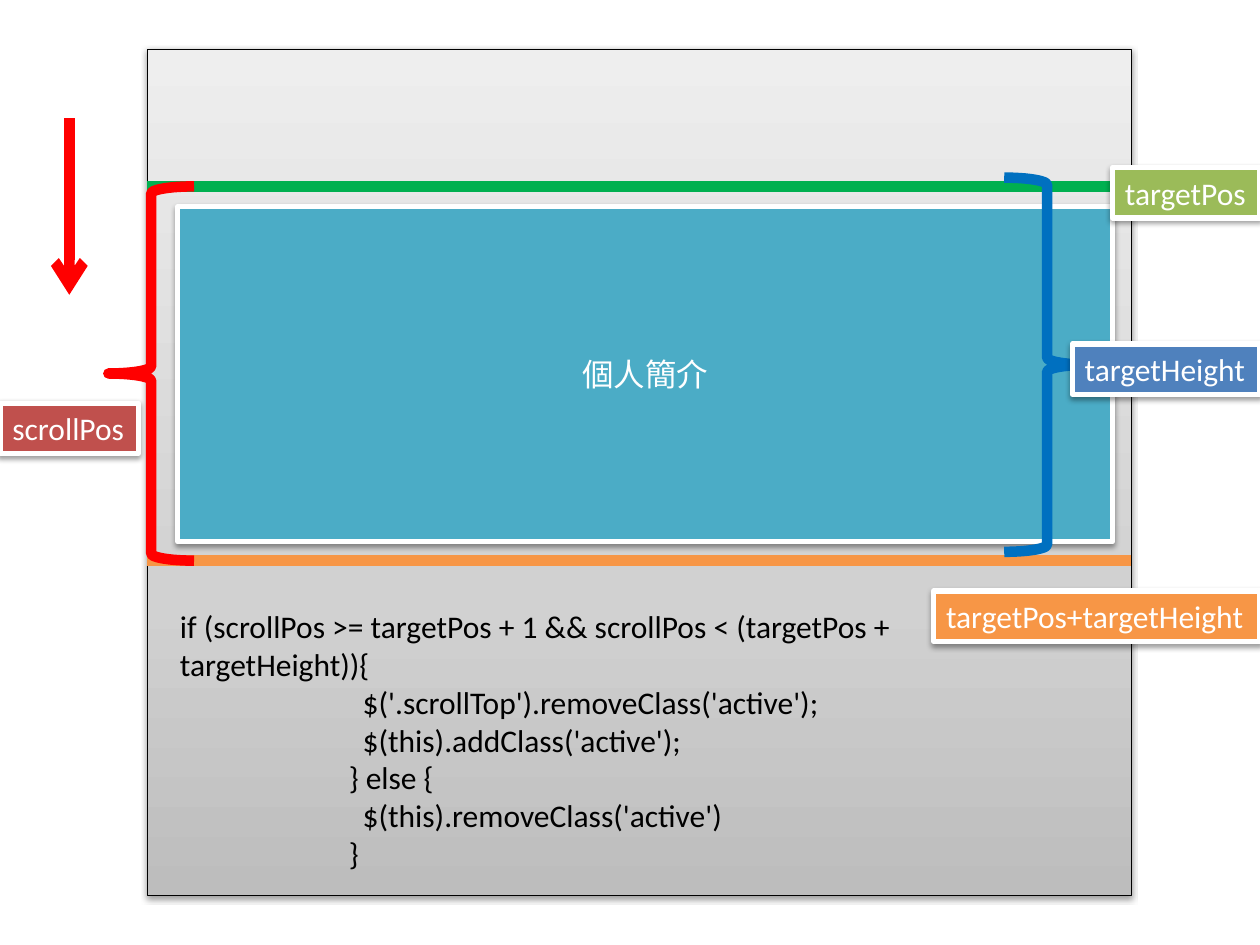
import copy
from dataclasses import dataclass

import pptx
import pptx.dml.color
import pptx.enum.shapes
import pptx.enum.text
import pptx.oxml
import pptx.oxml.ns
import pptx.util
from pptx.util import Inches

SHAPE = pptx.enum.shapes.MSO_SHAPE
qn = pptx.oxml.ns.qn


@dataclass(frozen=True)
class Theme:
    font: str = "Calibri"
    text_size: int = 18
    mark_width: int = 6
    border_width: int = 3
    frame_width: float = 0.75
    black: str = "000000"
    white: str = "FFFFFF"
    section: str = "4BACC6"
    start: str = "00B050"
    end: str = "F79646"
    scroll: str = "FF0000"
    height: str = "0070C0"
    pos_label: str = "9BBB59"
    height_label: str = "4F81BD"
    scroll_label: str = "C0504D"
    page_gradient: tuple = ((0, "BDBDBD"), (0.35, "D1D1D1"), (1, "EEEEEE"))


THEME = Theme()
SHADOW = (
    '<a:outerShdw xmlns:a="http://schemas.openxmlformats.org/drawingml/2006/main"'
    ' blurRad="40000" dist="20000" dir="5400000" rotWithShape="0">'
    '<a:srgbClr val="000000"><a:alpha val="38000"/></a:srgbClr></a:outerShdw>'
)


def rgb(color):
    return pptx.dml.color.RGBColor.from_string(color)


def inches(box):
    return [Inches(length) for length in box]


def set_line(shape, color, width):
    shape.line.color.rgb = rgb(color)
    shape.line.width = pptx.util.Pt(width)


def set_fill(shape, color):
    shape.fill.solid()
    shape.fill.fore_color.rgb = rgb(color)


def add_shadow(shape):
    shape.shadow.inherit = False
    effects = shape._element.spPr.find(qn("a:effectLst"))
    effects.append(pptx.oxml.parse_xml(SHADOW))


def format_text(frame, color):
    for paragraph in frame.paragraphs:
        for run in paragraph.runs:
            run.font.name = THEME.font
            run.font.size = pptx.util.Pt(THEME.text_size)
            run.font.color.rgb = rgb(color)


def add_page(slide, box):
    page = slide.shapes.add_shape(SHAPE.RECTANGLE, *inches(box))
    page.fill.gradient()
    page.fill.gradient_angle = 90
    stop_list = page._element.spPr.find(".//" + qn("a:gsLst"))
    stop_list.insert(1, copy.deepcopy(stop_list[0]))
    for stop, (position, color) in zip(page.fill.gradient_stops, THEME.page_gradient):
        stop.position = position
        stop.color.rgb = rgb(color)
    set_line(page, THEME.black, THEME.frame_width)
    add_shadow(page)


def add_section(slide, box, title):
    section = slide.shapes.add_shape(SHAPE.RECTANGLE, *inches(box))
    set_fill(section, THEME.section)
    set_line(section, THEME.white, THEME.border_width)
    add_shadow(section)
    section.text_frame.text = title
    section.text_frame.paragraphs[0].alignment = pptx.enum.text.PP_ALIGN.CENTER
    format_text(section.text_frame, THEME.white)


def add_mark(slide, ends, color, arrow=False):
    mark = slide.shapes.add_connector(
        pptx.enum.shapes.MSO_CONNECTOR.STRAIGHT, *inches(ends))
    set_line(mark, color, THEME.mark_width)
    properties = mark._element.spPr
    if arrow:
        tail = pptx.oxml.xmlchemy.OxmlElement("a:tailEnd")
        tail.set("type", "arrow")
        properties.find(qn("a:ln")).append(tail)
    properties.append(pptx.oxml.xmlchemy.OxmlElement("a:effectLst"))


def add_brace(slide, kind, box, color):
    brace = slide.shapes.add_shape(kind, *inches(box))
    brace.fill.background()
    set_line(brace, color, THEME.mark_width)
    brace.shadow.inherit = False


def add_label(slide, box, name, color):
    label = slide.shapes.add_textbox(*inches(box))
    set_fill(label, color)
    set_line(label, THEME.white, THEME.border_width)
    add_shadow(label)
    label.text_frame.text = name
    label.text_frame.word_wrap = False
    label.text_frame.auto_size = pptx.enum.text.MSO_AUTO_SIZE.SHAPE_TO_FIT_TEXT
    format_text(label.text_frame, THEME.white)


def add_code(slide, box, lines):
    frame = slide.shapes.add_textbox(*inches(box)).text_frame
    frame.word_wrap = True
    frame.auto_size = pptx.enum.text.MSO_AUTO_SIZE.SHAPE_TO_FIT_TEXT
    frame.text = "\n".join(text for _, text in lines)
    for paragraph, (indent, _) in zip(frame.paragraphs, lines):
        properties = paragraph._p.get_or_add_pPr()
        properties.set("marL", str(Inches(indent)))
        properties.set("indent", "0")
    format_text(frame, THEME.black)


def build_scroll_slide(slide):
    page_left, page_right = 1.17, 8.98
    start, end = 1.48, 4.45

    # Page with the target section
    add_page(slide, (page_left, 0.39, page_right - page_left, 6.72))
    add_section(slide, (1.41, 1.64, 7.42, 2.66), "個人簡介")

    # Section limits and scroll direction
    for level, color in ((start, THEME.start), (end, THEME.end)):
        add_mark(slide, (page_left, level, page_right, level), color)
    add_mark(slide, (0.55, 0.94, 0.55, 2.34), THEME.scroll, arrow=True)

    # Measures on the right, with labels that end at the slide edge
    add_label(slide, (8.83, 1.33, 1.17, 0.4), "targetPos", THEME.pos_label)
    add_brace(slide, SHAPE.RIGHT_BRACE, (7.97, 1.41, 0.68, end - start), THEME.height)
    add_label(slide, (8.51, 2.73, 1.49, 0.4), "targetHeight", THEME.height_label)
    add_label(slide, (7.41, 4.69, 2.59, 0.4), "targetPos+targetHeight", THEME.end)

    # Condition code
    branch, body = 1.34, 1.45
    add_code(slide, (1.33, 4.77, 6.88, 2.22), (
        (0, "if (scrollPos >= targetPos + 1 && scrollPos < (targetPos + targetHeight)){"),
        (body, "$('.scrollTop').removeClass('active');"),
        (body, "$(this).addClass('active');"),
        (branch, "} else {"),
        (body, "$(this).removeClass('active')"),
        (branch, "}"),
    ))

    # Scroll range on the left
    add_brace(slide, SHAPE.LEFT_BRACE, (0.86, start, 0.68, end - start), THEME.scroll)
    add_label(slide, (0, 3.2, 1.1, 0.4), "scrollPos", THEME.scroll_label)


def main():
    deck = pptx.Presentation()
    deck.slide_width, deck.slide_height = Inches(10), Inches(7.5)
    blank_layout = deck.slide_layouts[6]
    build_scroll_slide(deck.slides.add_slide(blank_layout))
    deck.save("out.pptx")


if __name__ == "__main__":
    main()
